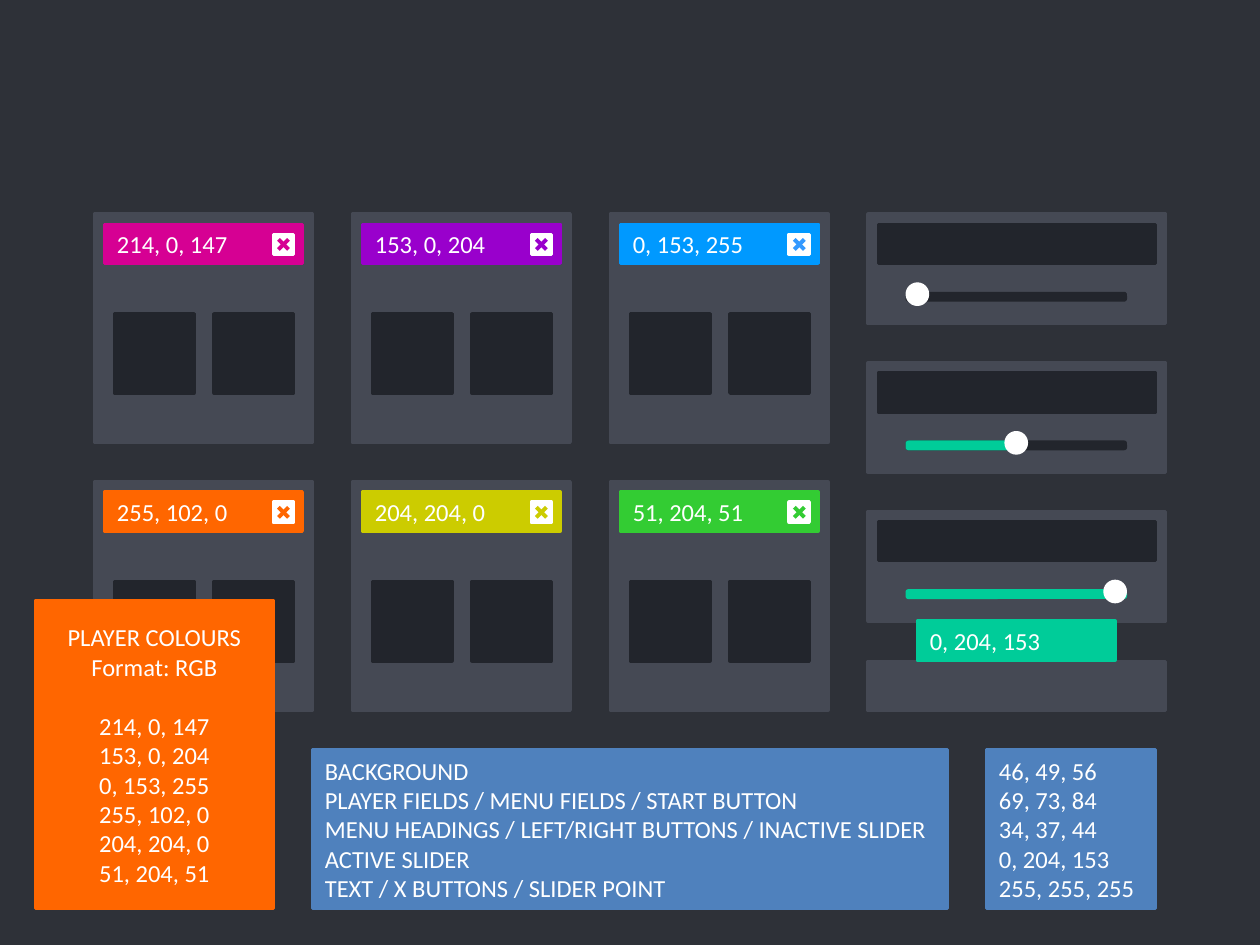
"""Builds the colour guide for a game menu: player cards, sliders and RGB legends."""
from lxml import etree
from pptx import Presentation, util as u
from pptx.dml.color import RGBColor
from pptx.enum import shapes as kinds, text
from pptx.oxml.ns import qn

BACKGROUND = RGBColor(46, 49, 56)
FIELD = RGBColor(69, 73, 84)
HEADING = RGBColor(34, 37, 44)
ACTIVE = RGBColor(0, 204, 153)
WHITE = RGBColor(255, 255, 255)
LEGEND = RGBColor(0x4F, 0x81, 0xBD)
BLUE_CROSS = RGBColor(0x33, 0x99, 0xFF)
PLAYERS = [(214, 0, 147), (153, 0, 204), (0, 153, 255),
           (255, 102, 0), (204, 204, 0), (51, 204, 51)]

RECT = kinds.MSO_SHAPE.RECTANGLE
ROUND = kinds.MSO_SHAPE.ROUNDED_RECTANGLE
OVAL = kinds.MSO_SHAPE.OVAL
LEFT, TOP = 0.75, 1.7
COLUMN, ROW, SLIDER_ROW = 2.047, 2.126, 1.18
GAP = 0.08
CARD_W, CARD_H = 1.73, 1.81
MENU_W, MENU_H = 2.36, 0.87
BAR_W, BAR_H = CARD_W - 2 * GAP, 0.31
BUTTON, KNOB, TRACK_H = 0.63, 0.16, 0.05


def block(parent, kind, left, top, width, height, color, lines=(),
          align=text.PP_ALIGN.LEFT):
    shape = parent.add_shape(kind, *map(u.Inches, (left, top, width, height)))
    shape.shadow.inherit = False
    shape.fill.solid()
    shape.fill.fore_color.rgb = color
    shape.line.color.rgb = color
    shape.line.width = u.Pt(2)
    if lines:
        frame = shape.text_frame
        frame.word_wrap = True
        frame.vertical_anchor = text.MSO_ANCHOR.MIDDLE
        frame.text = "\n".join(lines)
        for paragraph in frame.paragraphs:
            paragraph.alignment = align
            font = paragraph.runs[0].font
            for name, value in {"size": u.Pt(14), "name": "Calibri"}.items():
                setattr(font, name, value)
            font.color.rgb = WHITE
    return shape


def rgb_label(values):
    return ", ".join(map(str, values))


deck = Presentation()
deck.slide_width, deck.slide_height = u.Inches(10), u.Inches(7.5)
slide = deck.slides.add_slide(deck.slide_layouts[6])
slide.background.fill.solid()
slide.background.fill.fore_color.rgb = BACKGROUND
canvas = slide.shapes

for index, values in enumerate(PLAYERS):
    row, column = divmod(index, 3)
    left, top = LEFT + column * COLUMN, TOP + row * ROW
    color = RGBColor(*values)
    block(canvas, RECT, left, top, CARD_W, CARD_H, FIELD)
    block(canvas, RECT, left + GAP, top + GAP, BAR_W, BAR_H, color, [rgb_label(values)])
    for button in range(2):
        block(canvas, RECT, left + 2 * GAP + button * 0.79, top + 0.79,
              BUTTON, BUTTON, HEADING)
    close = canvas.add_group_shape().shapes
    x, y = left + CARD_W - 2 * GAP - KNOB + 0.01, top + 2 * GAP
    block(close, RECT, x, y, KNOB, KNOB, WHITE)
    near, far = KNOB / 4, KNOB * 3 / 4
    for start, end in ((far, near), (near, far)):
        stroke = close.add_connector(
            kinds.MSO_CONNECTOR.STRAIGHT,
            *map(u.Inches, (x + far, y + start, x + near, y + end)))
        stroke.line.color.rgb = BLUE_CROSS if index == 2 else color
        stroke.line.width = u.Pt(2.25)
        etree.SubElement(stroke._element.spPr, qn("a:effectLst"))

menu_left = LEFT + 3 * COLUMN
track_left = menu_left + 0.31
for index, share in enumerate((0, 0.5, 1)):
    top = TOP + index * SLIDER_ROW
    block(canvas, RECT, menu_left, top, MENU_W, MENU_H, FIELD)
    block(canvas, RECT, menu_left + GAP, top + GAP, MENU_W - 2 * GAP, BAR_H, HEADING)
    if share < 1:
        block(canvas, ROUND, track_left, top + 0.63, CARD_W, TRACK_H, HEADING)
    if share:
        block(canvas, ROUND, track_left, top + 0.63, CARD_W * share, TRACK_H, ACTIVE)
    block(canvas, OVAL, track_left + (CARD_W - KNOB) * share, top + 0.555,
          KNOB, KNOB, WHITE)

block(canvas, RECT, menu_left, 5.25, MENU_W, 0.39, FIELD)
block(canvas, RECT, menu_left + 0.39, 4.93, BAR_W, BAR_H, ACTIVE, [rgb_label(ACTIVE)])

player_legend = block(
    canvas, RECT, 0.28, 4.77, 1.89, 2.44, RGBColor(*PLAYERS[3]),
    ["PLAYER COLOURS", "Format: RGB", *map(rgb_label, PLAYERS)],
    text.PP_ALIGN.CENTER)
player_legend.text_frame.paragraphs[1].space_after = u.Pt(17)

ROLES = {
    "BACKGROUND": BACKGROUND,
    "PLAYER FIELDS / MENU FIELDS / START BUTTON": FIELD,
    "MENU HEADINGS / LEFT/RIGHT BUTTONS / INACTIVE SLIDER": HEADING,
    "ACTIVE SLIDER": ACTIVE,
    "TEXT / X BUTTONS / SLIDER POINT": WHITE,
}
for left, width, lines in ((2.48, 5.04, list(ROLES)),
                           (7.83, 1.34, list(map(rgb_label, ROLES.values())))):
    block(canvas, RECT, left, 5.95, width, 1.26, LEGEND, lines)

deck.save("out.pptx")
